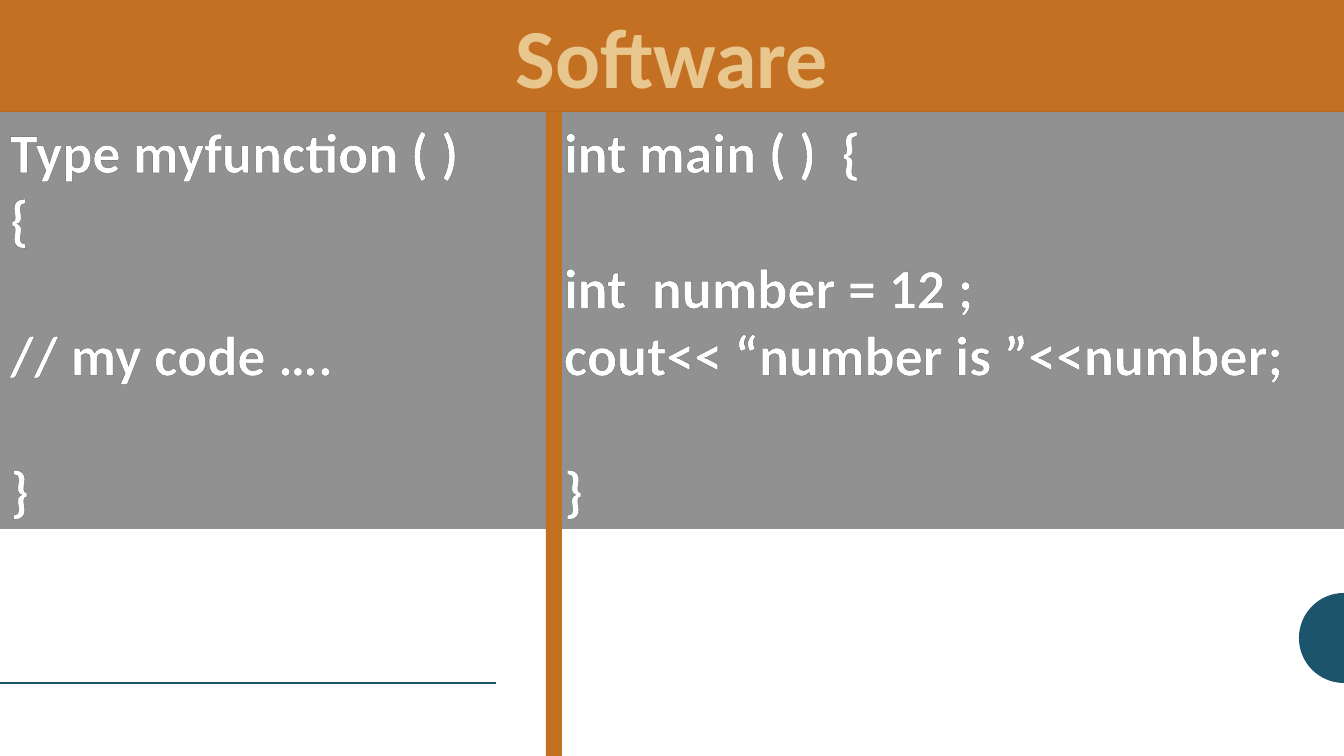
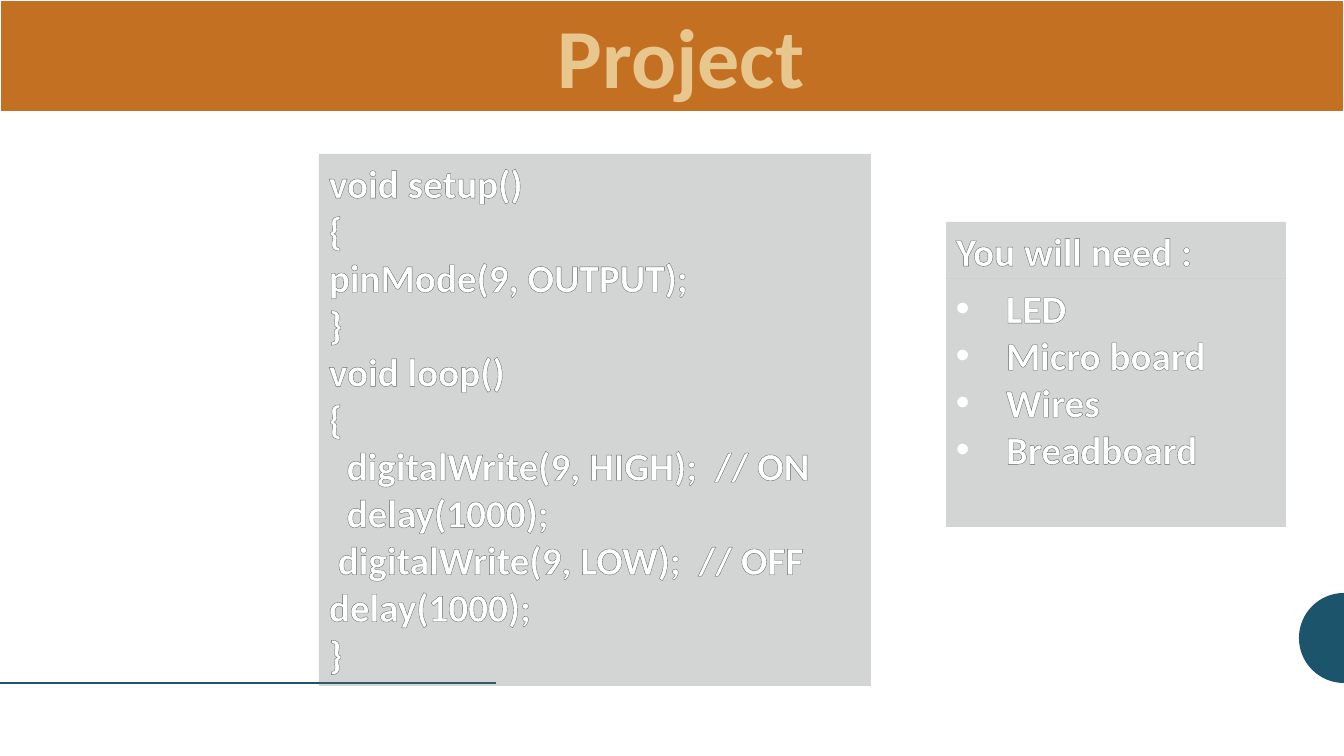
import math
from dataclasses import dataclass

import pptx
import pptx.dml.color
import pptx.enum.shapes
import pptx.enum.text
import pptx.oxml
import pptx.oxml.ns
import pptx.util

EMU_PER_PX = 914400 / 100.8
WIDTH, HEIGHT = 1344, 756
BAND_HEIGHT = 112

FONT = "Calibri"
ORANGE, TEAL, GOLD = "C47023", "1C546B", "D9A142"
WHITE, BLACK, GREY = "FFFFFF", "000000", "606968"
TITLE_STOPS = ((0, GOLD), (4, "E8C78E"), (87, "F7ECD9"))
NAMESPACE = pptx.oxml.ns.nsdecls("a")
RECTANGLE = pptx.enum.shapes.MSO_SHAPE.RECTANGLE
STRAIGHT = pptx.enum.shapes.MSO_CONNECTOR.STRAIGHT
LEFT, CENTER = pptx.enum.text.PP_ALIGN.LEFT, pptx.enum.text.PP_ALIGN.CENTER


@dataclass(frozen=True)
class Panel:
    """A translucent box of text; an empty line is a gap before the next one."""
    left: int
    top: int
    width: int
    height: int
    lines: tuple[str, ...]
    size: int = 28
    fill: str = GREY
    opacity: int = 28
    bullets: bool = False


SOFTWARE_PANELS = (
    Panel(0, BAND_HEIGHT, 554, 417,
          ("Type myfunction ( )", "{", "", "// my code ….", "", "}"),
          size=40, fill=BLACK, opacity=43),
    Panel(554, BAND_HEIGHT, 790, 417,
          ("int main ( )  {", "", "int  number = 12 ;",
           "cout<< “number is ”<<number;", "", "}"),
          size=40, fill=BLACK, opacity=43),
)
PROJECT_PANELS = (
    Panel(319, 154, 552, 532,
          ("void setup()", "{", "pinMode(9, OUTPUT);", "}", "void loop()", "{",
           "  digitalWrite(9, HIGH);  // ON", "  delay(1000);",
           " digitalWrite(9, LOW);  // OFF", "delay(1000);", "}")),
    Panel(946, 279, 340, 248,
          ("LED", "Micro board", "Wires", "Breadboard"), bullets=True),
    Panel(946, 222, 340, 57, ("You will need :",)),
)


def px(length: float) -> pptx.util.Emu:
    return pptx.util.Emu(round(length * EMU_PER_PX))


def color(value: str) -> pptx.dml.color.RGBColor:
    return pptx.dml.color.RGBColor.from_string(value)


def element(xml: str):
    """Parse one drawing element, given as its tag and content."""
    tag, rest = xml[:xml.index(">")], xml[xml.index(">"):]
    if tag.endswith("/"):
        return pptx.oxml.parse_xml(f"<a:{tag[:-1]} {NAMESPACE}/>")
    return pptx.oxml.parse_xml(f"<a:{tag} {NAMESPACE}{rest}")


def paint(shape, fill: str, opacity: int = 100) -> None:
    """Give a shape a plain fill, with no line and no shadow."""
    shape.shadow.inherit = False
    shape.line.fill.background()
    shape.fill.solid()
    shape.fill.fore_color.rgb = color(fill)
    if opacity < 100:
        fill_color = shape.fill._xPr.find(".//" + pptx.oxml.ns.qn("a:srgbClr"))
        fill_color.append(element(f'alpha val="{opacity * 1000}"/>'))


def add_rectangle(slide, left: int, top: int, width: int, height: int,
                  fill: str, opacity: int = 100):
    shape = slide.shapes.add_shape(
        RECTANGLE, px(left), px(top), px(width), px(height))
    paint(shape, fill, opacity)
    return shape


def add_bullet(paragraph) -> None:
    properties = paragraph._p.get_or_add_pPr()
    properties.set("marL", str(px(50)))
    properties.set("indent", str(-px(50)))
    properties.append(element('buFont typeface="Arial"/>'))
    properties.append(element('buChar char="•"/>'))


def set_gradient(run) -> None:
    stops = "".join(
        f'<a:gs pos="{position * 1000}"><a:srgbClr val="{value}"/></a:gs>'
        for position, value in TITLE_STOPS)
    gradient = element(f'gradFill><a:gsLst>{stops}</a:gsLst>'
                       '<a:lin ang="5400000" scaled="0"/></a:gradFill>')
    run._r.get_or_add_rPr().insert(0, gradient)


def write(shape, lines: tuple[str, ...], *, size: int, align=LEFT,
          outline: str = GREY, outline_width: float = 0.52,
          gradient: bool = False, bullets: bool = False) -> None:
    frame = shape.text_frame
    frame.word_wrap = True
    frame.vertical_anchor = pptx.enum.text.MSO_ANCHOR.TOP
    paragraph, gap = frame.paragraphs[0], 0
    for index, line in enumerate(lines):
        if not line:
            gap += 1
            continue
        if index:
            paragraph = frame.add_paragraph()
        paragraph.alignment = align
        if gap:
            paragraph.space_before = pptx.util.Pt(gap * size * 1.22)
            gap = 0
        if bullets:
            add_bullet(paragraph)
        run = paragraph.add_run()
        run.text = line
        run.font.name = FONT
        run.font.size = pptx.util.Pt(size)
        run.font.bold = True
        if gradient:
            set_gradient(run)
        else:
            run.font.color.rgb = color(WHITE)
        run._r.get_or_add_rPr().insert(0, element(
            f'ln w="{pptx.util.Pt(outline_width)}"><a:solidFill>'
            f'<a:srgbClr val="{outline}"/></a:solidFill></a:ln>'))


def add_accents(slide) -> None:
    """Draw the half disc at the right edge and the line at the foot."""
    radius, middle, steps = 45, 638, 32
    angles = [math.pi * (0.5 + step / steps) for step in range(steps + 1)]
    points = [(px(WIDTH + radius * math.cos(angle)),
               px(middle + radius * math.sin(angle))) for angle in angles]
    builder = slide.shapes.build_freeform(*points[0])
    builder.add_line_segments(points[1:], close=True)
    paint(builder.convert_to_shape(), TEAL)

    foot = middle + radius
    line = slide.shapes.add_connector(STRAIGHT, 0, px(foot), px(496), px(foot))
    line.line.color.rgb = color(TEAL)
    line.line.width = pptx.util.Pt(2)
    line._element.spPr.append(element("effectLst/>"))


def add_title(slide, title: str, *, shift: int = 0, bordered: bool = False) -> None:
    band = add_rectangle(slide, 0, 0, WIDTH, BAND_HEIGHT, ORANGE)
    if bordered:
        band.line.color.rgb = color(WHITE)
        band.line.width = pptx.util.Pt(1.5)
    band.text_frame.margin_left = px(10 + 2 * shift)
    write(band, (title,), size=60, align=CENTER, outline=GOLD,
          outline_width=1, gradient=True)


def add_panel(slide, panel: Panel) -> None:
    shape = add_rectangle(slide, panel.left, panel.top, panel.width,
                          panel.height, panel.fill, panel.opacity)
    write(shape, panel.lines, size=panel.size, bullets=panel.bullets)


def add_slide(presentation, title: str, panels: tuple[Panel, ...], *,
              shift: int = 0, bordered: bool = False):
    slide = presentation.slides.add_slide(presentation.slide_layouts[6])
    add_accents(slide)
    add_title(slide, title, shift=shift, bordered=bordered)
    for panel in panels:
        add_panel(slide, panel)
    return slide


def main() -> None:
    presentation = pptx.Presentation()
    presentation.slide_width, presentation.slide_height = px(WIDTH), px(HEIGHT)
    software = add_slide(presentation, "Software", SOFTWARE_PANELS)
    add_rectangle(software, 546, BAND_HEIGHT, 16, HEIGHT - BAND_HEIGHT, ORANGE)
    add_slide(presentation, "Project", PROJECT_PANELS, shift=9, bordered=True)
    presentation.save("out.pptx")


if __name__ == "__main__":
    main()
